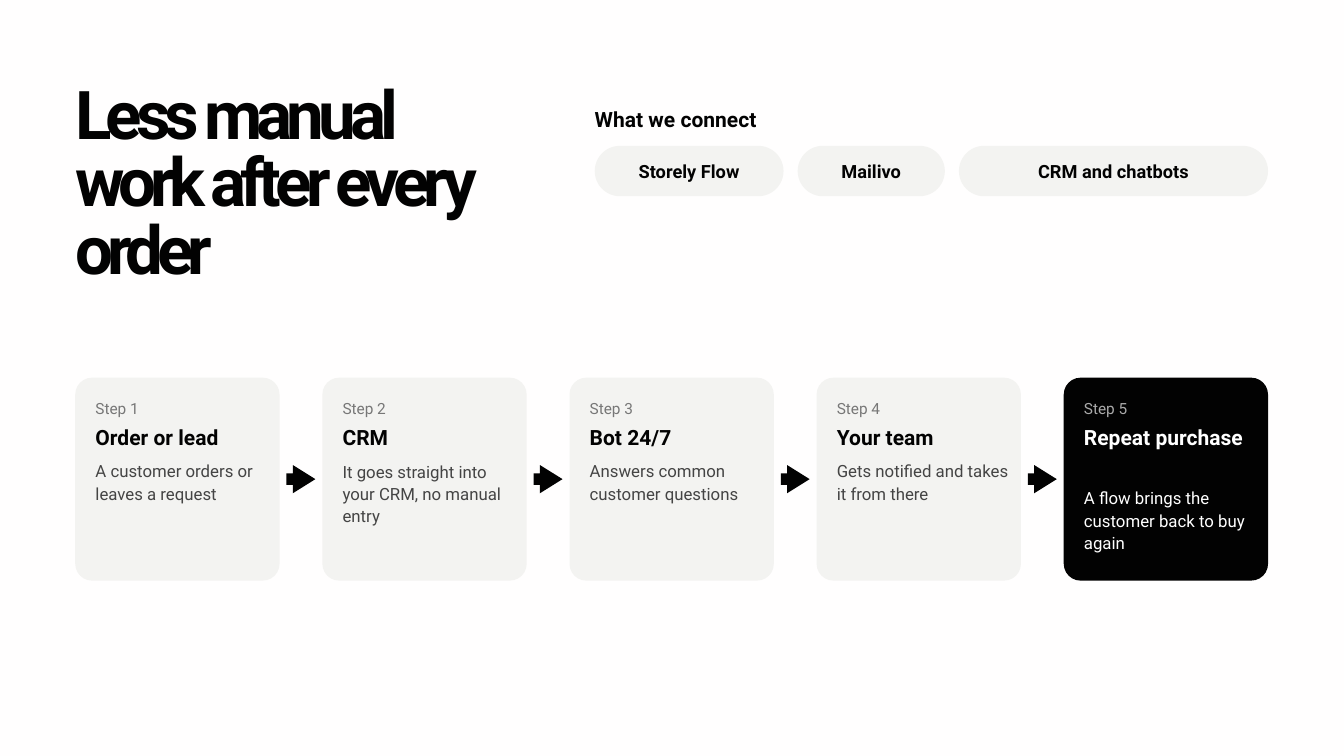
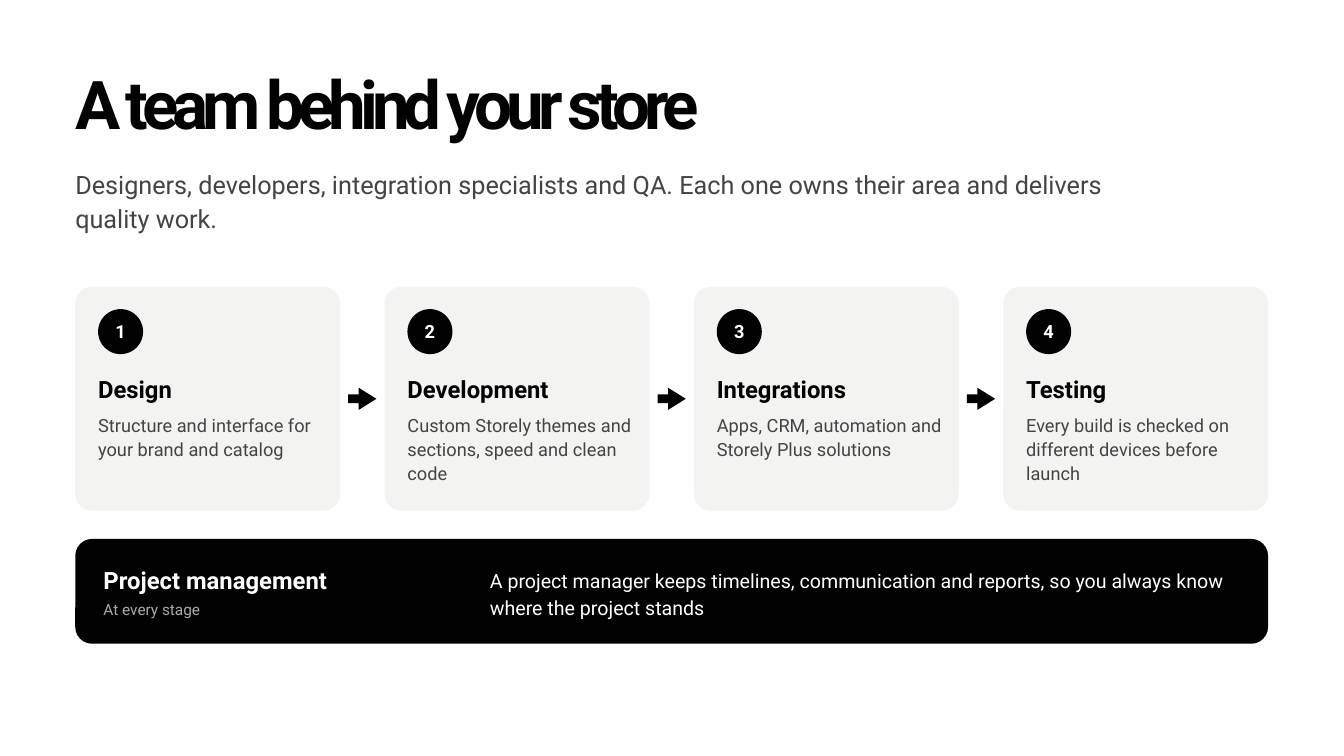
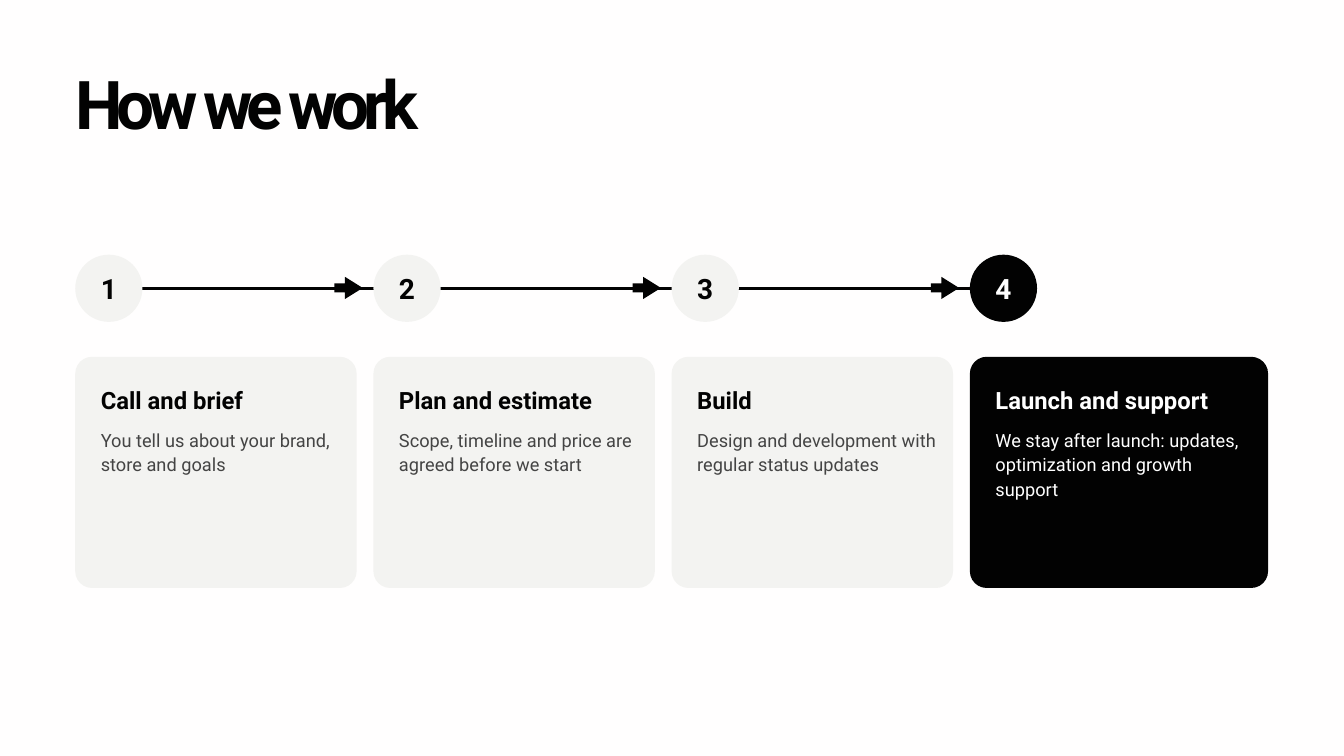
import pptx
import pptx.util
import pptx.dml.color
import pptx.enum.shapes
import pptx.enum.text
import pptx.oxml
import pptx.oxml.ns
from pptx.util import Inches

SHAPE = pptx.enum.shapes.MSO_SHAPE
ANCHOR = pptx.enum.text.MSO_ANCHOR
ALIGN = pptx.enum.text.PP_ALIGN
FIT = pptx.enum.text.MSO_AUTO_SIZE

FONT = "Roboto"
INK, PALE, WHITE, PAPER = "020202", "F3F3F1", "FFFFFF", "FFFEFE"
BODY, MUTED, MUTED_ON_INK = "444444", "777777", "AAAAAA"
LEFT, WIDTH = 1.12, 17.75
RADIUS = 0.25

# name: (size, line spacing, bold)
STYLES = {
    "title": (72, 72, True),
    "lead": (27, 36.5, False),
    "number": (30, 36, True),
    "heading": (25.5, 31.5, True),
    "subheading": (22.5, 28.5, True),
    "label": (19.5, 23.4, True),
    "band": (21, 28.5, False),
    "text": (19.5, 26.2, False),
    "small": (18, 24, False),
    "step": (16.5, 21, False),
}


def rgb(color):
    return pptx.dml.color.RGBColor.from_string(color)


def write(shape, text, style, color, align=ALIGN.LEFT, anchor=ANCHOR.TOP):
    """Fill the shape's text frame with one styled paragraph; return the run."""
    size, spacing, bold = STYLES[style]
    tf = shape.text_frame
    tf.word_wrap = True
    tf.vertical_anchor = anchor
    tf.margin_left = tf.margin_right = tf.margin_top = tf.margin_bottom = 0
    p = tf.paragraphs[0]
    p.alignment = align
    p.line_spacing = pptx.util.Pt(spacing)
    r = p.add_run()
    r.text = text
    r.font.name = FONT
    r.font.size = pptx.util.Pt(size)
    r.font.bold = bold
    r.font.color.rgb = rgb(color)
    return r


def add_text(s, x, y, w, h, text, style, color):
    box = s.shapes.add_textbox(Inches(x), Inches(y), Inches(w), Inches(h))
    write(box, text, style, color)
    box.text_frame.auto_size = FIT.SHAPE_TO_FIT_TEXT


def add_shape(s, kind, x, y, w, h, fill, adjustments=()):
    sp = s.shapes.add_shape(kind, Inches(x), Inches(y), Inches(w), Inches(h))
    sp.shadow.inherit = False
    sp.fill.solid()
    sp.fill.fore_color.rgb = rgb(fill)
    sp.line.fill.background()
    for i, value in enumerate(adjustments):
        sp.adjustments[i] = value
    return sp


def add_card(s, x, y, w, h, fill):
    add_shape(s, SHAPE.ROUNDED_RECTANGLE, x, y, w, h, fill, [RADIUS / min(w, h)])


def add_arrow(s, x, y, w, h):
    add_shape(s, SHAPE.RIGHT_ARROW, x, y, w, h, INK, [0.4, 0.8])


def add_circle(s, x, y, size, number, style, fill, color):
    sp = add_shape(s, SHAPE.OVAL, x, y, size, size, fill)
    write(sp, str(number), style, color, ALIGN.CENTER, ANCHOR.MIDDLE)


def add_line(s, x1, x2, y, points):
    line = s.shapes.add_connector(pptx.enum.shapes.MSO_CONNECTOR.STRAIGHT,
                                  Inches(x1), Inches(y), Inches(x2), Inches(y))
    line.line.color.rgb = rgb(INK)
    line.line.width = pptx.util.Pt(points)
    properties = line._element.spPr
    properties.append(properties.makeelement(pptx.oxml.ns.qn("a:effectLst"), {}))


def new_slide(prs, title, y=1.12, w=17.88, h=1):
    s = prs.slides.add_slide(prs.slide_layouts[5])
    sp = s.shapes.title
    sp.left, sp.top, sp.width, sp.height = map(Inches, (LEFT, y, w, h))
    r = write(sp, title, "title", INK)
    r.font._element.set("spc", "-630")
    sp.text_frame.auto_size = FIT.SHAPE_TO_FIT_TEXT
    return s


def arrow_row(s, y, w, h, count, arrow_w, arrow_h):
    """Centre an arrow in each gap of a full-width row; return card lefts."""
    pitch = (WIDTH - w) / (count - 1)
    lefts = [LEFT + i * pitch for i in range(count)]
    for x in lefts[:-1]:
        add_arrow(s, x + (w + pitch - arrow_w) / 2, y + (h - arrow_h) / 2,
                  arrow_w, arrow_h)
    return lefts


def connections(s, x, y, heading, pills, gap=0.21):
    add_text(s, x, y, 9.5, 0.4, heading, "subheading", INK)
    for name, w in pills:
        sp = add_shape(s, SHAPE.ROUNDED_RECTANGLE, x, y + 0.61, w, 0.75, PALE, [0.5])
        write(sp, name, "label", INK, ALIGN.CENTER, ANCHOR.MIDDLE)
        x += w + gap


def step_card(s, x, y, w, h, number, heading, text, dark):
    add_card(s, x, y, w, h, INK if dark else PALE)
    x += 0.3
    heading_h = 0.8 if dark else 0.4
    add_text(s, x, y + 0.3, 0.86, 0.29, f"Step {number}", "step",
             MUTED_ON_INK if dark else MUTED)
    add_text(s, x, y + 0.67, 2.62, heading_h, heading, "subheading",
             WHITE if dark else INK)
    add_text(s, x, y + 0.81 + heading_h, 2.62, 1, text, "small",
             WHITE if dark else BODY)


def team_card(s, x, y, w, h, number, heading, text):
    add_card(s, x, y, w, h, PALE)
    x += 0.34
    add_circle(s, x, y + 0.33, 0.67, number, "label", INK, WHITE)
    add_text(s, x, y + 1.29, 3.46, 0.44, heading, "heading", INK)
    add_text(s, x, y + 1.85, 3.4, 1.09, text, "text", BODY)


def management_band(s, x, y, w, h, heading, note, text):
    add_card(s, x, y, w, h, INK)
    add_text(s, x + 0.42, y + 0.38, 5.54, 0.44, heading, "heading", WHITE)
    add_text(s, x + 0.42, y + 0.9, 5.54, 0.29, note, "step", MUTED_ON_INK)
    add_text(s, x + 6.17, y + 0.4, 11.29, 0.79, text, "band", WHITE)


def stage(s, x, y, w, number, heading, text, dark):
    """Numbered circle with its card underneath."""
    fill, color = (INK, WHITE) if dark else (PALE, INK)
    add_circle(s, x, y, 1, number, "number", fill, color)
    add_card(s, x, y + 1.52, w, 3.44, fill)
    text_w = 3.88 if dark else 3.56
    add_text(s, x + 0.38, y + 1.94, text_w, 0.44, heading, "heading", color)
    add_text(s, x + 0.38, y + 2.56, text_w, 1.09, text, "text",
             WHITE if dark else BODY)


def automation_slide(prs):
    s = new_slide(prs, "Less manual work after every order", 1.28, 6.65, 3)
    connections(s, 8.85, 1.56, "What we connect", [
        ("Storely Flow", 2.81), ("Mailivo", 2.19), ("CRM and chatbots", 4.6)])
    steps = [
        ("Order or lead", "A customer orders or leaves a request"),
        ("CRM", "It goes straight into your CRM, no manual entry"),
        ("Bot 24/7", "Answers common customer questions"),
        ("Your team", "Gets notified and takes it from there"),
        ("Repeat purchase", "A flow brings the customer back to buy again"),
    ]
    y, w, h = 5.62, 3.04, 3.02
    lefts = arrow_row(s, y, w, h, len(steps), 0.43, 0.42)
    for i, (x, (heading, text)) in enumerate(zip(lefts, steps), 1):
        step_card(s, x, y, w, h, i, heading, text, i == len(steps))


def team_slide(prs):
    s = new_slide(prs, "A team behind your store")
    add_text(s, LEFT, 2.46, 16.38, 1.01,
             "Designers, developers, integration specialists and QA. "
             "Each one owns their area and delivers quality work.", "lead", BODY)
    roles = [
        ("Design", "Structure and interface for your brand and catalog"),
        ("Development", "Custom Storely themes and sections, speed and clean code"),
        ("Integrations", "Apps, CRM, automation and Storely Plus solutions"),
        ("Testing", "Every build is checked on different devices before launch"),
    ]
    y, w, h = 4.27, 3.94, 3.33
    lefts = arrow_row(s, y, w, h, len(roles), 0.42, 0.33)
    for i, (x, (heading, text)) in enumerate(zip(lefts, roles), 1):
        team_card(s, x, y, w, h, i, heading, text)
    management_band(s, LEFT, 8.02, WIDTH, 1.56, "Project management", "At every stage",
                    "A project manager keeps timelines, communication and reports, "
                    "so you always know where the project stands")


def process_slide(prs):
    s = new_slide(prs, "How we work")
    stages = [
        ("Call and brief", "You tell us about your brand, store and goals"),
        ("Plan and estimate", "Scope, timeline and price are agreed before we start"),
        ("Build", "Design and development with regular status updates"),
        ("Launch and support",
         "We stay after launch: updates, optimization and growth support"),
    ]
    y, last = 3.79, len(stages) - 1
    pitch = WIDTH / len(stages)
    add_line(s, LEFT + 0.5, LEFT + last * pitch + 0.5, y + 0.5, 3)
    for i, (heading, text) in enumerate(stages):
        x = LEFT + i * pitch
        if i:
            add_arrow(s, x - 0.58, y + 0.33, 0.42, 0.33)
        stage(s, x, y, pitch if i == last else pitch - 0.25, i + 1,
              heading, text, i == last)


def main():
    prs = pptx.Presentation()
    prs.slide_width, prs.slide_height = Inches(20), Inches(11.25)
    background = prs.slide_master.background.fill
    background.solid()
    background.fore_color.rgb = rgb(PAPER)
    automation_slide(prs)
    team_slide(prs)
    process_slide(prs)
    prs.save("out.pptx")


if __name__ == "__main__":
    main()
